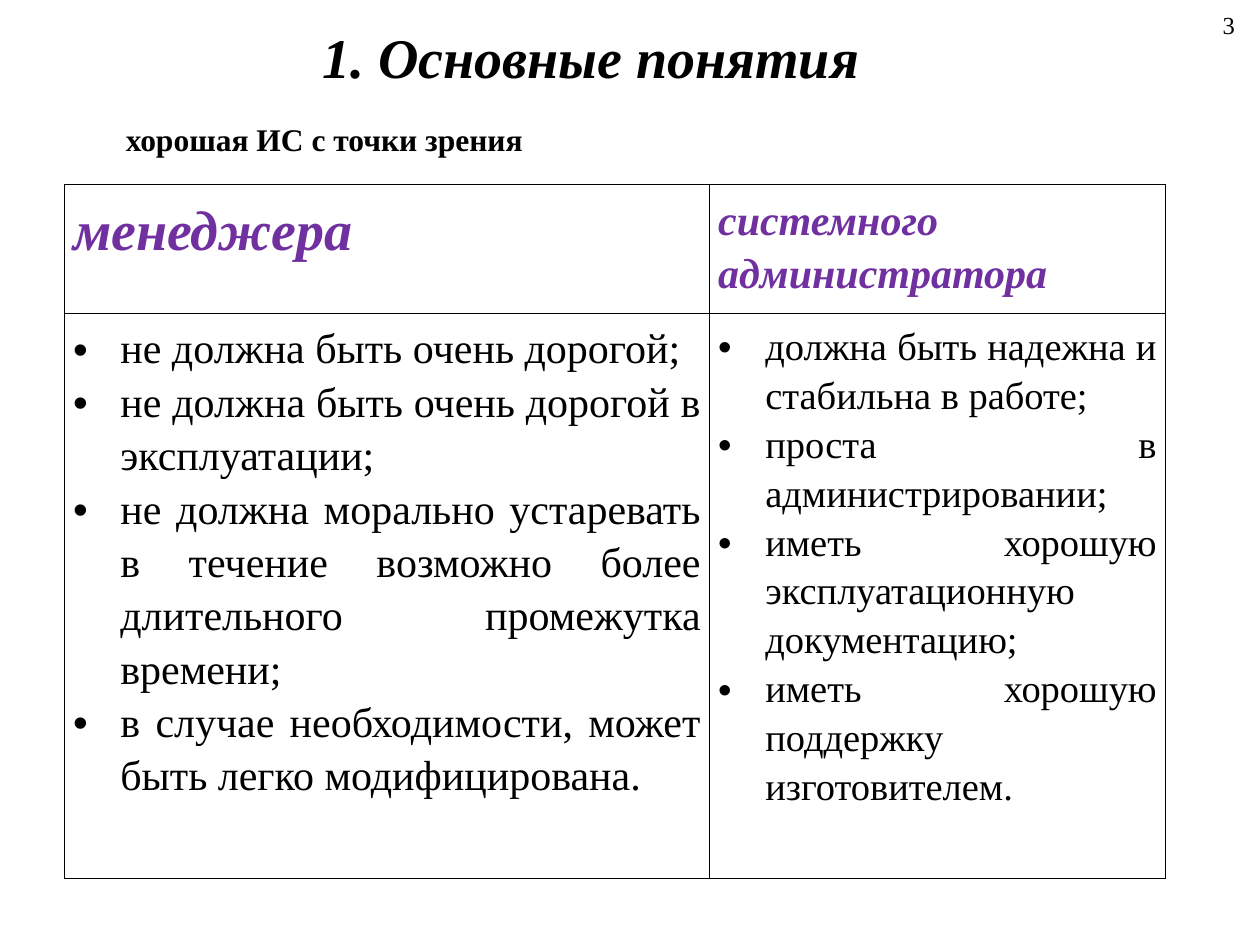
from lxml.etree import SubElement
from pptx import Presentation
from pptx.dml.color import RGBColor
from pptx.enum.text import MSO_ANCHOR, MSO_AUTO_SIZE, PP_ALIGN
from pptx.oxml.ns import qn
from pptx.util import Pt

FONT = "Times New Roman"
COLORS = {"text": "000000", "heading": "7030A0", "border": "000000"}
BULLET_INDENT = 27

VIEWPOINTS = [
    {
        "heading": "менеджера", "heading_size": 32, "width": 368.6, "size": 24,
        "wishes": [
            "не должна быть очень дорогой;",
            "не должна быть очень дорогой в эксплуатации;",
            "не должна морально устаревать в течение возможно более "
            "длительного промежутка времени;",
            "в случае необходимости, может быть легко модифицирована.",
        ],
    },
    {
        "heading": "системного администратора", "heading_size": 24,
        "width": 260.6, "size": 22,
        "wishes": [
            "должна быть надежна и стабильна в работе;",
            "проста в администрировании;",
            "иметь хорошую эксплуатационную документацию;",
            "иметь хорошую поддержку изготовителем.",
        ],
    },
]


def add_bullet(paragraph):
    properties = paragraph._p.get_or_add_pPr()
    properties.set("marL", str(Pt(BULLET_INDENT)))
    properties.set("indent", str(-Pt(BULLET_INDENT)))
    color = SubElement(properties, qn("a:buClr"))
    SubElement(color, qn("a:srgbClr"), val=COLORS["text"])
    SubElement(properties, qn("a:buFont"), typeface="Arial")
    SubElement(properties, qn("a:buChar"), char="•")


def write(frame, lines, size, color="text", bold=False, italic=False,
          align=PP_ALIGN.LEFT, spacing=None, bullets=False):
    """Fill a text frame with one paragraph for each line."""
    frame.word_wrap = True
    for index, line in enumerate(lines):
        paragraph = frame.add_paragraph() if index else frame.paragraphs[0]
        if bullets:
            add_bullet(paragraph)
        paragraph.alignment = align
        if spacing:
            paragraph.line_spacing = spacing
        run = paragraph.add_run()
        run.text = line
        font = run.font
        font.name, font.size = FONT, Pt(size)
        font.bold, font.italic = bold, italic
        font.color.rgb = RGBColor.from_string(COLORS[color])


def place_title(slide, left, top, width, height):
    title = slide.shapes.title
    title.left, title.top = Pt(left), Pt(top)
    title.width, title.height = Pt(width), Pt(height)
    frame = title.text_frame
    frame.auto_size = MSO_AUTO_SIZE.NONE
    frame.vertical_anchor = MSO_ANCHOR.TOP
    write(frame, ["1. Основные понятия"], 32, bold=True, italic=True,
          align=PP_ALIGN.CENTER)


def add_label(slide, left, top, width, height, text, size,
              anchor=MSO_ANCHOR.TOP, **style):
    label = slide.shapes.add_textbox(Pt(left), Pt(top), Pt(width), Pt(height))
    label.text_frame.vertical_anchor = anchor
    write(label.text_frame, [text], size, **style)


def format_cell(cell):
    """Give a cell its margins and thin borders, without a fill."""
    cell.margin_left = cell.margin_right = Pt(5)
    cell.margin_top = cell.margin_bottom = Pt(3.6)
    properties = cell._tc.get_or_add_tcPr()
    for side in ("lnL", "lnR", "lnT", "lnB"):
        border = SubElement(properties, qn(f"a:{side}"), w=str(Pt(0.45)))
        fill = SubElement(border, qn("a:solidFill"))
        SubElement(fill, qn("a:srgbClr"), val=COLORS["border"])
    cell.fill.background()


def add_viewpoint_table(slide, left, top, width, height, heading_height):
    table = slide.shapes.add_table(
        2, len(VIEWPOINTS), Pt(left), Pt(top), Pt(width), Pt(height)).table
    table.first_row = table.horz_banding = False
    table.rows[0].height = Pt(heading_height)
    table.rows[1].height = Pt(height - heading_height)
    for column, view in enumerate(VIEWPOINTS):
        table.columns[column].width = Pt(view["width"])
        heading, wishes = table.cell(0, column), table.cell(1, column)
        format_cell(heading)
        format_cell(wishes)
        write(heading.text_frame, [view["heading"]], view["heading_size"],
              color="heading", bold=True, italic=True,
              align=PP_ALIGN.JUSTIFY, spacing=1.15)
        write(wishes.text_frame, view["wishes"], view["size"],
              align=PP_ALIGN.JUSTIFY, spacing=1.15, bullets=True)


def main():
    presentation = Presentation()
    presentation.slide_width, presentation.slide_height = Pt(720), Pt(540)
    slide = presentation.slides.add_slide(presentation.slide_layouts[5])
    place_title(slide, 14.4, 9.4, 646.6, 45.4)
    add_label(slide, 683.3, 0, 29.5, 28.8, "3", 14,
              anchor=MSO_ANCHOR.MIDDLE, align=PP_ALIGN.RIGHT)
    add_viewpoint_table(slide, 36.8, 105.6, 629.2, 391, heading_height=68)
    add_label(slide, 64.8, 64.8, 532.8, 28.8, "хорошая ИС с точки зрения", 18,
              bold=True)
    presentation.save("out.pptx")


if __name__ == "__main__":
    main()
